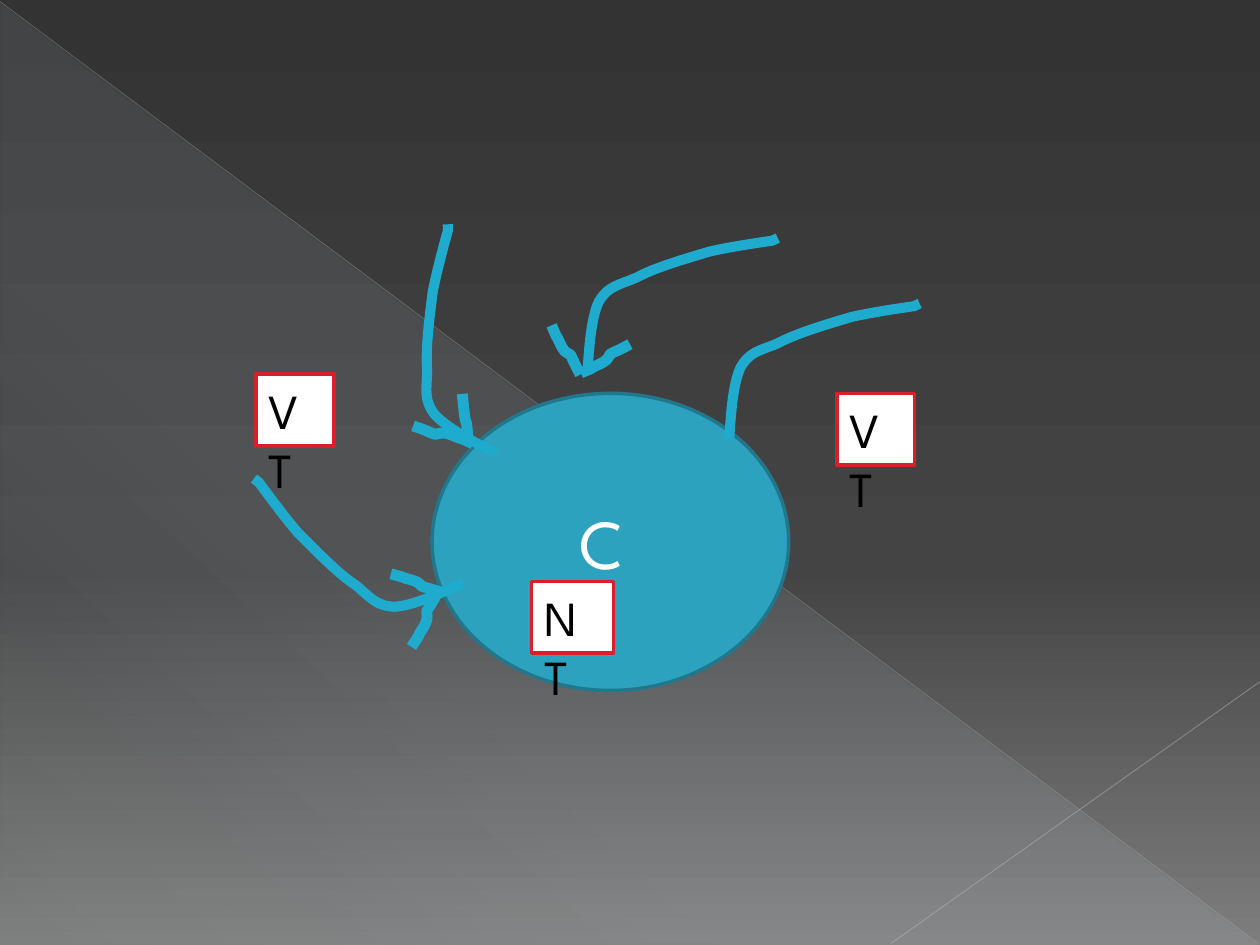
from lxml.etree import SubElement
from pptx import Presentation
from pptx.dml.color import RGBColor
from pptx.enum.shapes import MSO_CONNECTOR as Connector, MSO_SHAPE as Shape
from pptx.enum.text import MSO_ANCHOR as Anchor, MSO_AUTO_SIZE as AutoSize, PP_ALIGN as Align
from pptx.oxml.ns import qn
from pptx.util import Cm, Pt

FONT = "League Spartan"
WHITE = RGBColor(0xFF, 0xFF, 0xFF)
BLACK = RGBColor(0x00, 0x00, 0x00)
TEAL = RGBColor(0x2D, 0xA2, 0xBF)
DARK_TEAL = RGBColor(0x21, 0x78, 0x8D)
CYAN = RGBColor(0x1E, 0xAB, 0xCE)
RED = RGBColor(0xDA, 0x1F, 0x28)
ICE = RGBColor(0xDE, 0xF5, 0xFA)
SILVER = RGBColor(0xB9, 0xB9, 0xB9)
PALE = RGBColor(0xC1, 0xC1, 0xC1)
CHARCOAL = RGBColor(0x33, 0x33, 0x33)
GRAPHITE = RGBColor(0x44, 0x44, 0x44)
GRAY = RGBColor(0x7D, 0x7D, 0x7D)

HOOK = [(0, 0), (0.01, 0.2), (0.02, 0.41), (0.06, 0.53), (0.11, 0.65), (0.16, 0.65),
        (0.26, 0.71), (0.35, 0.78), (0.52, 0.85), (0.64, 0.9), (0.76, 0.94),
        (0.97, 0.98), (0.97, 0.98), (1, 1)]
BARB = [(0, 0), (0.05, 0.04), (0.08, 0.08), (0.13, 0.12), (0.46, 0.4), (0.1, 0.08),
        (0.4, 0.34), (0.42, 0.41), (0.45, 0.5), (0.48, 0.55), (0.56, 0.66),
        (0.64, 0.71), (0.73, 0.78), (0.77, 0.82), (0.8, 0.87), (0.85, 0.89), (1, 1)]

HOOK_REACH = (3.84, -2.74)
HOOKS = [((11.84, 7.54), 0), ((14.7, 8.86), 0), ((7.59, 8.2), 293.7), ((5.31, 12.07), 242)]
BARBS = [((8.92, 11.95), (-1.04, -0.38), 0),
         ((9.09, 12.12), (-1.04, 0.71), 330.1),
         ((9.45, 8.93), (-0.13, -0.99), 0),
         ((9.45, 8.41), (-1.04, 0.71), 230.8),
         ((11.7, 7.55), (-0.58, -0.99), 0),
         ((12.7, 6.94), (-0.99, 0.58), 0)]
LABELS = [("VT", (16.87, 7.93, 1.57, 1.45)),
          ("VT", (5.16, 7.54, 1.57, 1.45)),
          ("NT", (10.72, 11.72, 1.65, 1.45))]


def set_alpha(color, percent):
    SubElement(color, qn("a:alpha")).set("val", str(percent * 1000))


def set_gradient(fill, owner, stops, angle):
    fill.gradient()
    gradient = next(owner.iter(qn("a:gradFill")))
    stop_list = gradient.find(qn("a:gsLst"))
    for stop in list(stop_list):
        stop_list.remove(stop)
    for position, color, opacity in stops:
        stop = SubElement(stop_list, qn("a:gs"), pos=str(position * 1000))
        tint = SubElement(stop, qn("a:srgbClr"), val=str(color))
        set_alpha(tint, opacity)
    gradient.find(qn("a:lin")).set("ang", str(angle * 60000))


def write(shape, text, size, color, align=Align.LEFT, anchor=Anchor.TOP, right_inset=0.25):
    frame = shape.text_frame
    frame.word_wrap = True
    frame.auto_size = AutoSize.NONE
    frame.vertical_anchor = anchor
    frame.margin_right = Cm(right_inset)
    paragraph = frame.paragraphs[0]
    paragraph.alignment = align
    run = paragraph.add_run()
    run.text = text
    run.font.name, run.font.size, run.font.color.rgb = FONT, Pt(size), color


def add_outlined(slide, kind, box, fill, line):
    shape = slide.shapes.add_shape(kind, *map(Cm, box))
    shape.shadow.inherit = False
    shape.fill.solid()
    shape.fill.fore_color.rgb = fill
    shape.line.color.rgb = line
    shape.line.width = Pt(2)
    return shape


def add_hairline(slide, start, end, color, width, opacity):
    hairline = slide.shapes.add_connector(Connector.STRAIGHT, *map(Cm, start + end))
    hairline.line.color.rgb = color
    hairline.line.width = Pt(width)
    SubElement(hairline._element.spPr, qn("a:effectLst"))
    set_alpha(next(hairline._element.spPr.iter(qn("a:srgbClr"))), opacity)


def add_backdrop(slide, box):
    left, top, width, height = box
    right, bottom = left + width, top + height
    set_gradient(slide.background.fill, slide._element,
                 [(0, CHARCOAL, 100), (60, GRAPHITE, 100), (100, GRAY, 100)], 90)
    wedge = slide.shapes.add_shape(Shape.RIGHT_TRIANGLE, Cm(left + 0.02), Cm(top + 0.05),
                                   Cm(width - 0.04), Cm(height - 0.05))
    wedge.shadow.inherit = False
    wedge.line.fill.background()
    set_gradient(wedge.fill, wedge._element.spPr,
                 [(0, ICE, 10), (70, ICE, 8), (100, ICE, 1)], 133)
    add_hairline(slide, (left, top + 0.03), (right - 0.03, bottom - 0.03), SILVER, 0.39, 35)
    add_hairline(slide, (right, top + 13.74), (left + 17.96, bottom - 0.03), PALE, 0.47, 45)


def add_stroke(slide, curve, start, reach, rotation, width):
    (x, y), (dx, dy) = start, reach
    points = [(Cm(x + dx * across), Cm(y + dy * down)) for across, down in curve]
    builder = slide.shapes.build_freeform(*points[0])
    builder.add_line_segments(points[1:], close=False)
    stroke = builder.convert_to_shape()
    segments = list(stroke._element.spPr.iter(qn("a:lnTo")))[:-1]
    for first in range(0, len(segments), 3):
        bend, *others = segments[first:first + 3]
        bezier = bend.getparent().makeelement(qn("a:cubicBezTo"))
        bend.addprevious(bezier)
        for segment in (bend, *others):
            bezier.append(segment[0])
            segment.getparent().remove(segment)
    stroke.rotation = rotation
    stroke.shadow.inherit = False
    stroke.fill.background()
    stroke.line.color.rgb = CYAN
    stroke.line.width = Pt(width)


def add_arrows(slide, box):
    left, top = box[:2]
    for (x, y), rotation in HOOKS:
        add_stroke(slide, HOOK, (left + x, top + y), HOOK_REACH, rotation, 5.75)
    for (x, y), reach, rotation in BARBS:
        upright = abs(reach[1]) > abs(reach[0])
        curve = [(across, along) for along, across in BARB] if upright else BARB
        add_stroke(slide, curve, (left + x, top + y), reach, rotation, 6.25)


def add_cell(slide, box):
    cell = add_outlined(slide, Shape.OVAL, box, TEAL, DARK_TEAL)
    write(cell, "C ", size=40, color=WHITE, align=Align.CENTER, anchor=Anchor.MIDDLE)


def add_label(slide, text, box):
    label = add_outlined(slide, Shape.RECTANGLE, box, WHITE, RED)
    write(label, text, size=28, color=BLACK, right_inset=0.4)


def main():
    deck = Presentation()
    deck.slide_width, deck.slide_height = Cm(25.4), Cm(19.05)
    slide = deck.slides.add_slide(deck.slide_layouts[6])
    page = (0, 0, 25.4, 19.05)
    add_backdrop(slide, page)
    add_cell(slide, (8.71, 7.93, 7.19, 5.99))
    add_arrows(slide, page)
    for text, box in LABELS:
        add_label(slide, text, box)
    deck.save("out.pptx")


if __name__ == "__main__":
    main()
